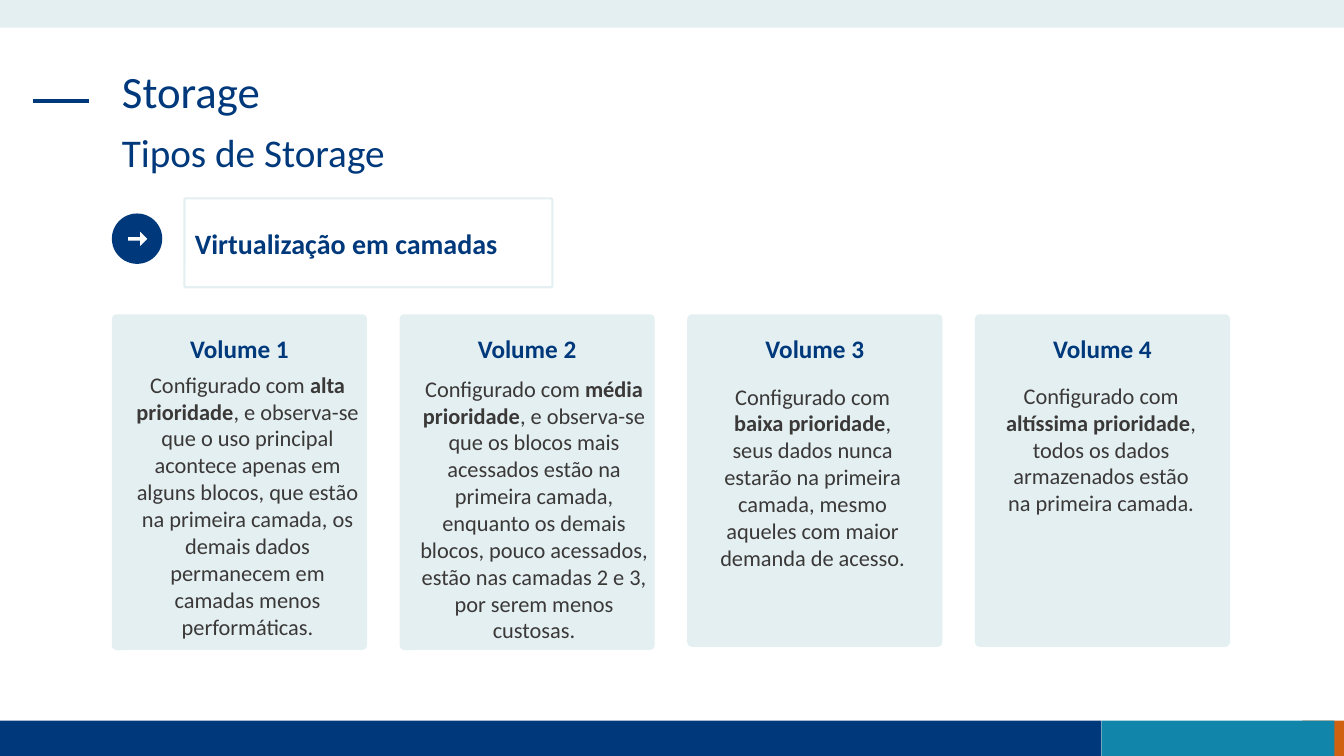
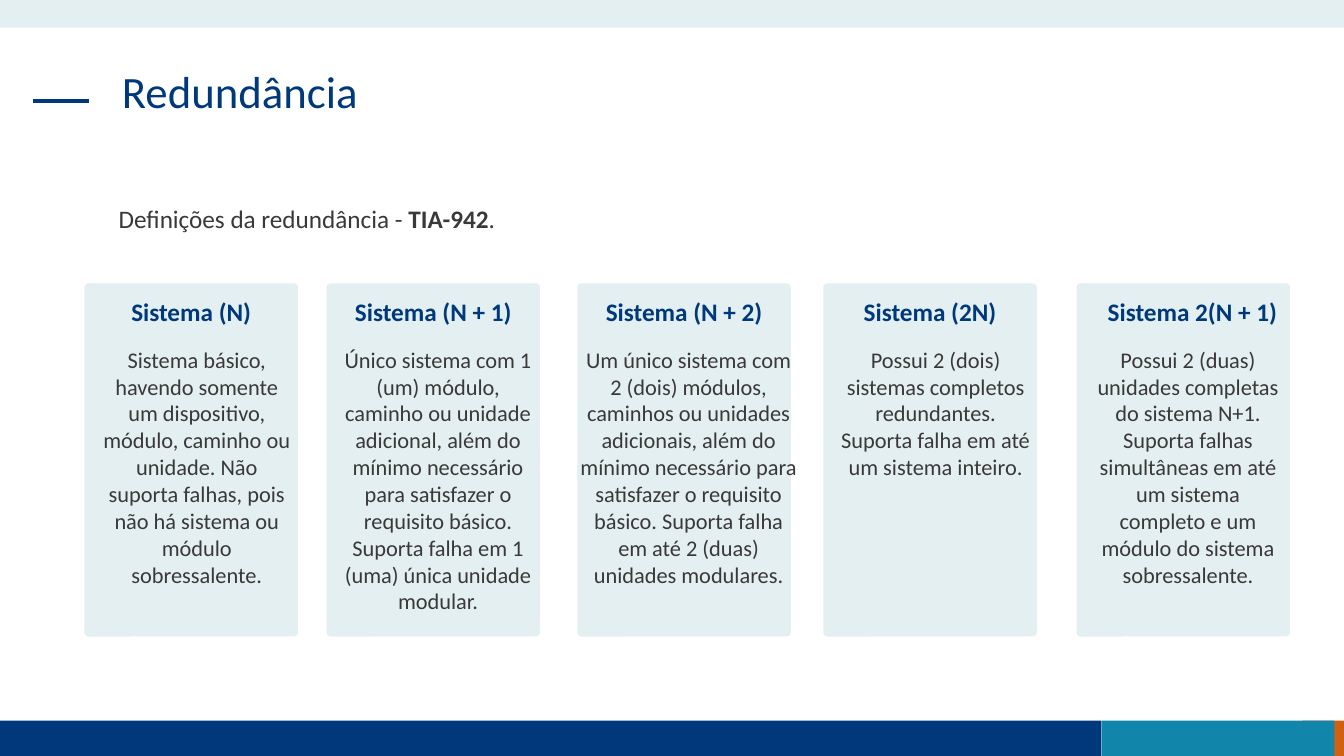
"""Build two slides on storage volumes and redundancy."""
from lxml import etree
from pptx import Presentation
from pptx.dml.color import RGBColor
from pptx.enum.shapes import MSO_CONNECTOR, MSO_SHAPE
from pptx.enum.text import MSO_ANCHOR, MSO_AUTO_SIZE, PP_ALIGN
from pptx.oxml.ns import qn
from pptx.util import Cm, Pt

RECT, ROUND = MSO_SHAPE.RECTANGLE, MSO_SHAPE.ROUNDED_RECTANGLE
OVAL, ARROW = MSO_SHAPE.OVAL, MSO_SHAPE.RIGHT_ARROW
LEFT, MID = PP_ALIGN.LEFT, PP_ALIGN.CENTER
NAVY, TEAL, RUST, PALE = "00397B", "1185AA", "D06110", "E3EFF1"
GREY, WHITE = "3B3838", "FFFFFF"
TITLE = {"name": "Calibri", "size": Pt(32), "bold": False}
SUB = TITLE | {"size": Pt(28)}
LABEL = TITLE | {"size": Pt(20), "bold": True}
HEAD = TITLE | {"size": Pt(18), "bold": True}
INTRO = TITLE | {"size": Pt(18)}
BODY = TITLE | {"size": Pt(16)}
hue = RGBColor.from_string


def draw(slide, kind, box, fill=None, adjust=()):
    """Add a plain shape, its box given in centimetres."""
    shape = slide.shapes.add_shape(kind, *map(Cm, box))
    shape.shadow.inherit = False
    shape.line.fill.background()
    if fill:
        shape.fill.solid()
        shape.fill.fore_color.rgb = hue(fill)
    else:
        shape.fill.background()
    for i, value in enumerate(adjust):
        shape.adjustments[i] = value
    return shape


def write(shape, text, style, tint, align=LEFT, space=1.0):
    """Fill a shape with text, where stars enclose bold words."""
    frame = shape.text_frame
    frame.word_wrap = True
    frame.auto_size = MSO_AUTO_SIZE.NONE
    frame.vertical_anchor = MSO_ANCHOR.TOP
    para = frame.paragraphs[0]
    para.alignment = align
    para.line_spacing = space
    for i, part in enumerate(text.split("*")):
        run = para.add_run()
        run.text = part
        for key, value in style.items():
            setattr(run.font, key, value)
        if i % 2:
            run.font.bold = True
        run.font.color.rgb = hue(tint)


deck = Presentation()
deck.slide_width, deck.slide_height = Cm(33.87), Cm(19.05)
layout = deck.slide_layouts[5]
for holder in list(layout.placeholders)[1:]:
    holder.element.getparent().remove(holder.element)
title = layout.placeholders[0]
title.left, title.top, title.width, title.height = map(Cm, (2.82, 1.63, 28.19, 2.39))

store, spare = [deck.slides.add_slide(layout) for _ in range(2)]
bands = [
    draw(store, RECT, (32.82, 18.16, 1.05, 0.89), RUST),
    draw(store, RECT, (0, 18.16, 27.76, 0.89), NAVY),
    draw(store, RECT, (27.76, 18.16, 5.87, 0.89), TEAL),
    draw(store, RECT, (0, 0, 33.87, 0.7), PALE),
]
dash = store.shapes.add_connector(MSO_CONNECTOR.STRAIGHT, Cm(0.84), Cm(2.54), Cm(2.24), Cm(2.54))
dash.line.color.rgb = hue(NAVY)
dash.line.width = Pt(3)
etree.SubElement(dash.element.spPr, qn("a:effectLst"))
for i, shape in enumerate(bands + [dash]):
    layout.shapes.element.insert(2 + i, shape.element)

for slide, text in ((store, "Storage"), (spare, "Redundância")):
    write(slide.shapes.title, text, TITLE, NAVY, space=0.9)

sub = store.shapes.add_textbox(Cm(2.82), Cm(3.25), Cm(22.23), Cm(1.5))
write(sub, "Tipos de Storage", SUB, NAVY, space=0.9)
draw(store, OVAL, (2.82, 5.38, 1.27, 1.27), NAVY)
draw(store, ARROW, (3.23, 5.84, 0.48, 0.36), WHITE, (0.255, 0.5))
frame = draw(store, ROUND, (4.65, 5, 9.27, 2.24), adjust=(0.016,))
frame.line.color.rgb = hue(PALE)
frame.line.width = Pt(1.5)
write(frame, "Virtualização em camadas", LABEL, NAVY)
frame.text_frame.vertical_anchor = MSO_ANCHOR.MIDDLE

intro = spare.shapes.add_textbox(Cm(2.74), Cm(5), Cm(10.87), Cm(1.02))
write(intro, "Definições da redundância - *TIA-942*.", INTRO, GREY)

tiers = [
    ("Volume 1", 8.46, 6.43, (0.23, 1.3, 6.38, 7.09),
     "Configurado com *alta prioridade*, e observa-se que o uso principal acontece apenas em "
     "alguns blocos, que estão na primeira camada, os demais dados permanecem em camadas "
     "menos performáticas."),
    ("Volume 2", 8.46, 6.43, (0.2, 1.4, 6.38, 7.09),
     "Configurado com *média prioridade*, e observa-se que os blocos mais acessados estão na "
     "primeira camada, enquanto os demais blocos, pouco acessados, estão nas camadas 2 e 3, "
     "por serem menos custosas."),
    ("Volume 3", 8.38, 6.43, (0.38, 1.6, 5.56, 5.05),
     "Configurado com *baixa prioridade*, seus dados nunca estarão na primeira camada, mesmo "
     "aqueles com maior demanda de acesso."),
    ("Volume 4", 8.38, 6.43, (0.4, 1.58, 5.56, 3.68),
     "Configurado com *altíssima prioridade*, todos os dados armazenados estão na primeira "
     "camada."),
]
plans = [
    ("Sistema (N)", 8.9, 5.38, (0.15, 1.45, 5.36, 7.09),
     "Sistema básico, havendo somente um dispositivo, módulo, caminho ou unidade. Não suporta "
     "falhas, pois não há sistema ou módulo sobressalente."),
    ("Sistema (N + 1)", 8.9, 5.38, (0.13, 1.45, 5.36, 7.77),
     "Único sistema com 1 (um) módulo, caminho ou unidade adicional, além do mínimo necessário "
     "para satisfazer o requisito básico. Suporta falha em 1 (uma) única unidade modular."),
    ("Sistema (N + 2)", 8.9, 5.38, (-0.18, 1.45, 5.97, 7.77),
     "Um único sistema com 2 (dois) módulos, caminhos ou unidades adicionais, além do mínimo "
     "necessário para satisfazer o requisito básico. Suporta falha em até 2 (duas) unidades "
     "modulares."),
    ("Sistema (2N)", 8.9, 5.38, (0.15, 1.45, 5.36, 5.05),
     "Possui 2 (dois) sistemas completos redundantes. Suporta falha em até um sistema inteiro."),
    ("Sistema 2(N + 1)", 8.9, 5.84, (0.13, 1.45, 5.36, 7.77),
     "Possui 2 (duas) unidades completas do sistema N+1. Suporta falhas simultâneas em até um "
     "sistema completo e um módulo do sistema sobressalente."),
]
rows = [
    (store, tiers, [2.82 + 7.25 * i for i in range(4)], 7.92, 6.43, 0.36),
    (spare, plans, [2.13, 8.23, 14.55, 20.75, 27.13], 7.14, 5.38, 0.2),
]
for slide, cards, lefts, top, width, drop in rows:
    for left, (name, height, span, (dx, dy, wide, tall), text) in zip(lefts, cards):
        draw(slide, ROUND, (left, top, width, height), PALE, (0.019,))
        head = slide.shapes.add_textbox(Cm(left), Cm(top + drop), Cm(span), Cm(1.02))
        write(head, name, HEAD, NAVY, MID)
        body = slide.shapes.add_textbox(Cm(left + dx), Cm(top + dy), Cm(wide), Cm(tall))
        write(body, text, BODY, GREY, MID)

deck.save("out.pptx")
